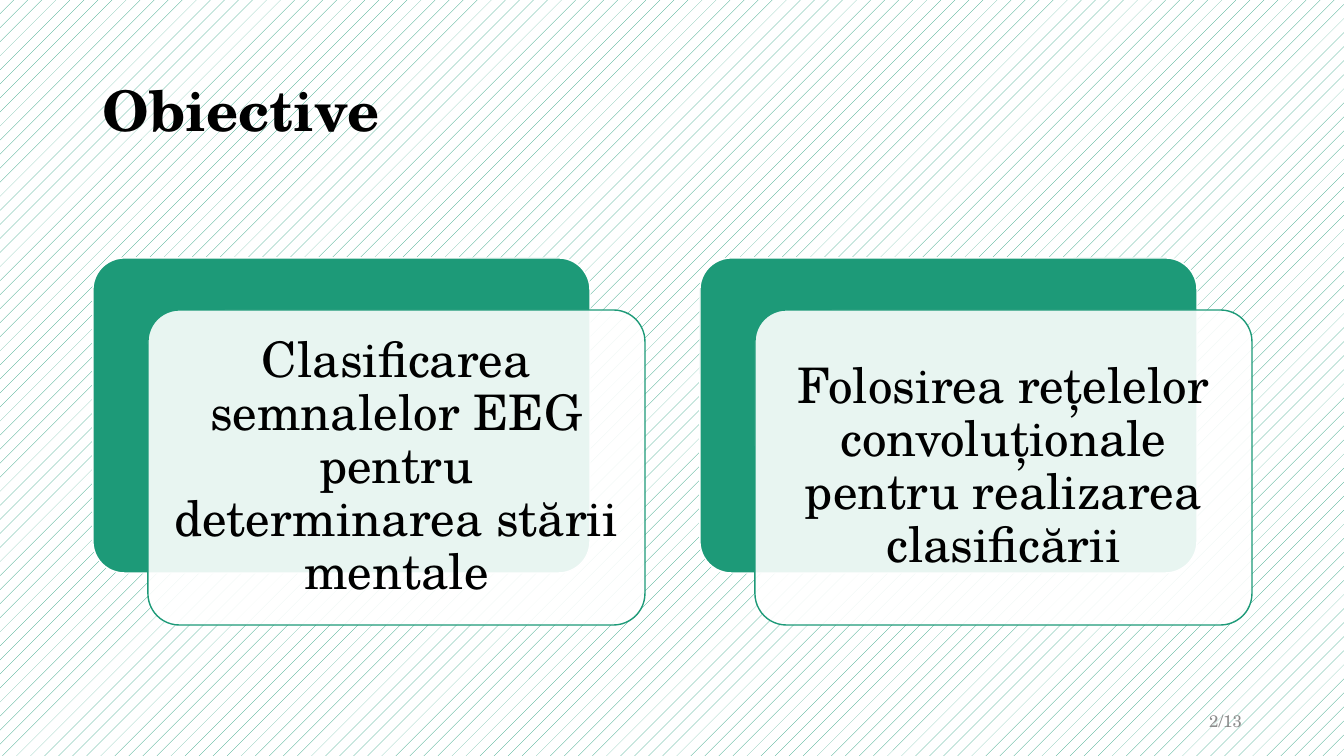
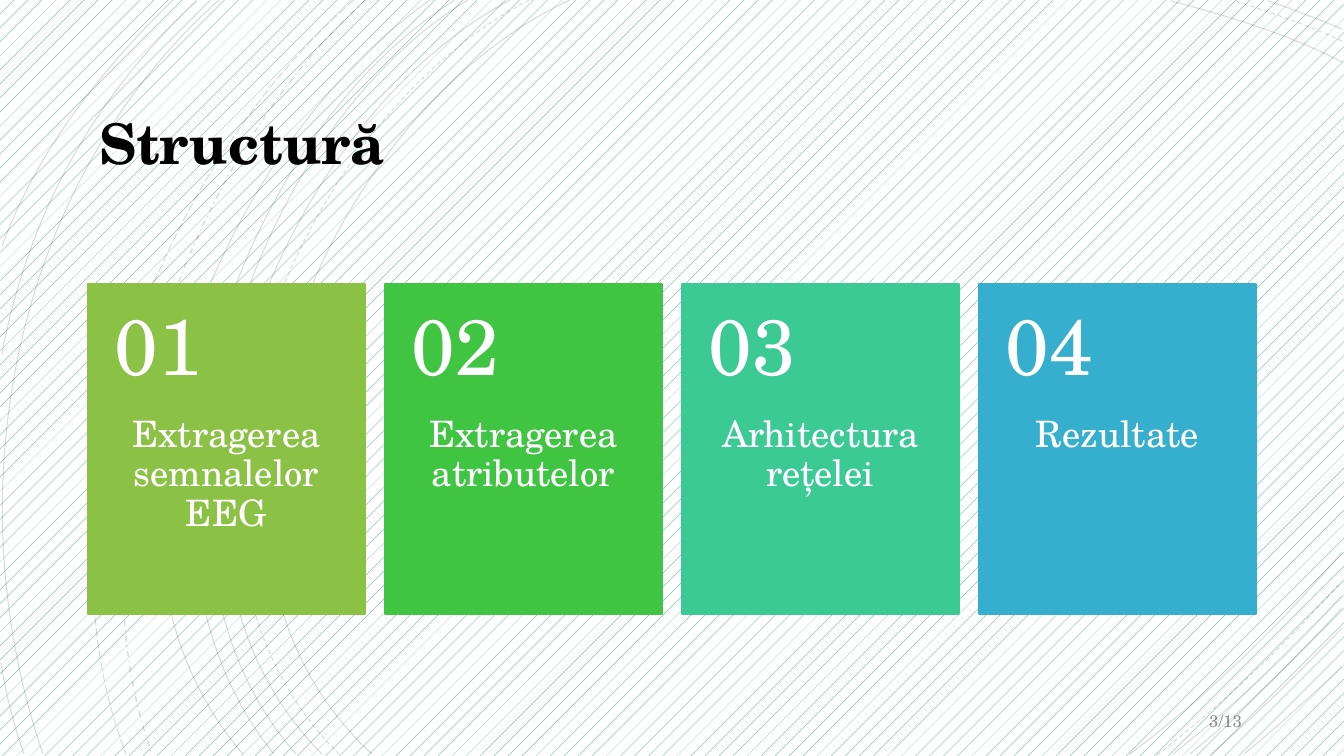
import pptx
import pptx.util
import pptx.dml.color
import pptx.enum.dml
import pptx.enum.shapes
import pptx.enum.text
import pptx.oxml.ns
import pptx.oxml.xmlchemy

SCALE = 914400 / 100.8
FONT = "TeX Gyre Schola"
GREEN, WHITE, BLACK, GREY = "1D9A78", "FFFFFF", "000000", "8C8C8C"
KIND = pptx.enum.shapes.MSO_SHAPE
ALIGN = pptx.enum.text.PP_ALIGN
ANCHOR = pptx.enum.text.MSO_ANCHOR
DASH = pptx.enum.dml.MSO_LINE

GOALS = [
    "Clasificarea semnalelor EEG pentru determinarea stării mentale",
    "Folosirea rețelelor convoluționale pentru realizarea clasificării",
]
STEPS = [
    ("Extragerea semnalelor EEG", "8BC145"),
    ("Extragerea atributelor", "40C543"),
    ("Arhitectura rețelei", "3BCA93"),
    ("Rezultate", "36AFCE"),
]
# Each arc: start, two control points, end; then dash and width in points.
SOLID = (DASH.SOLID, 0.75)
DASHED = (DASH.DASH, 0.75)
ARCS = [
    ((570, 0), (318, 116), (144, 544), (372, 754), SOLID),
    ((1342, 62), (1288, 34), (1228, 16), (1171, 1), SOLID),
    ((1130, 754), (1207, 696), (1279, 627), (1342, 552), SOLID),
    ((529, 0), (287, 126), (124, 541), (339, 754), DASHED),
    ((1342, 41), (1307, 25), (1270, 12), (1235, 1), DASHED),
    ((1157, 755), (1223, 704), (1285, 645), (1341, 582), DASHED),
    ((510, 0), (272, 128), (111, 541), (322, 754), SOLID),
    ((1342, 29), (1317, 19), (1293, 9), (1268, 1), SOLID),
    ((1173, 754), (1233, 707), (1290, 653), (1342, 596), SOLID),
    ((468, 0), (246, 134), (111, 545), (296, 754), SOLID),
    ((1190, 754), (1244, 710), (1294, 660), (1342, 608), SOLID),
    ((455, 0), (233, 139), (98, 537), (274, 754), SOLID),
    ((1211, 754), (1256, 715), (1300, 672), (1342, 628), SOLID),
    ((430, 0), (219, 148), (53, 533), (243, 754), SOLID),
    ((1244, 754), (1277, 727), (1309, 698), (1342, 667), SOLID),
    ((366, 0), (177, 167), (66, 513), (152, 754), (DASH.DASH_DOT, 1)),
    ((354, 0), (158, 170), (29, 503), (126, 754), (DASH.LONG_DASH, 0.75)),
    ((219, 0), (11, 186), (-46, 494), (43, 754), SOLID),
    ((197, 1), (93, 97), (28, 216), (2, 354), SOLID),
    ((1, 663), (6, 695), (14, 725), (24, 754), SOLID),
    ((173, 0), (101, 70), (37, 151), (2, 246), SOLID),
]


def px(count):
    """Turn pixels into EMU."""
    return pptx.util.Emu(round(count * SCALE))


def rgb(code):
    """Turn a hex string into a colour."""
    return pptx.dml.color.RGBColor.from_string(code)


def fade(shape, share):
    """Set the opacity, in percent, of the first colour of a shape."""
    color = next(shape._element.spPr.iter(pptx.oxml.ns.qn("a:srgbClr")))
    alpha = pptx.oxml.xmlchemy.OxmlElement("a:alpha")
    alpha.set("val", str(share * 1000))
    color.append(alpha)


def write(shape, text, size, color, align=ALIGN.LEFT, anchor=ANCHOR.MIDDLE,
          pads=(10, 5, 10, 5), bold=False, space=0.9):
    """Put one styled paragraph into a shape."""
    frame = shape.text_frame
    frame.text = text
    frame.word_wrap = True
    frame.auto_size = pptx.enum.text.MSO_AUTO_SIZE.NONE
    frame.vertical_anchor = anchor
    (frame.margin_left, frame.margin_top,
     frame.margin_right, frame.margin_bottom) = map(px, pads)
    para = frame.paragraphs[0]
    para.alignment, para.line_spacing = align, space
    font = para.runs[0].font
    font.name, font.size, font.bold = FONT, pptx.util.Pt(size), bold
    font.color.rgb = rgb(color)


def label(slide, box, text, size, color, **style):
    """Add a text box."""
    shape = slide.shapes.add_textbox(*map(px, box))
    write(shape, text, size, color, **style)


def block(slide, kind, box, fill, line):
    """Add a filled and outlined shape."""
    shape = slide.shapes.add_shape(kind, *map(px, box))
    shape.shadow.inherit = False
    shape.fill.solid()
    shape.fill.fore_color.rgb = rgb(fill)
    shape.line.color.rgb = rgb(line)
    shape.line.width = pptx.util.Pt(1)
    return shape


def arc(slide, start, bend, turn, end, style):
    """Draw one faint curve."""
    form = slide.shapes.build_freeform(*start, scale=SCALE)
    form.add_line_segments([bend, turn, end], close=False)
    shape = form.convert_to_shape()
    lines = list(shape._element.spPr.iter(pptx.oxml.ns.qn("a:lnTo")))
    curve = pptx.oxml.xmlchemy.OxmlElement("a:cubicBezTo")
    lines[0].addprevious(curve)
    for line in lines:
        curve.append(line[0])
        line.getparent().remove(line)
    shape.shadow.inherit = False
    shape.fill.background()
    shape.line.color.rgb = rgb(BLACK)
    shape.line.dash_style = style[0]
    shape.line.width = pptx.util.Pt(style[1])
    fade(shape, 15)


def base(deck, title, box, page):
    """Start a slide with its title and page number."""
    slide = deck.slides.add_slide(deck.slide_layouts[5])
    head = slide.shapes.title
    head.left, head.top, head.width, head.height = map(px, box)
    write(head, title, 40, BLACK, bold=True)
    label(slide, (950, 701, 302, 40), page, 12, GREY,
          align=ALIGN.RIGHT, space=1)
    return slide


def goal(slide, box, text):
    """Place a green card with a paler text card over its corner."""
    left, top, width, height = box
    back = block(slide, KIND.ROUNDED_RECTANGLE, box, GREEN, WHITE)
    front = block(slide, KIND.ROUNDED_RECTANGLE,
                  (left + 55, top + 52, width, height), WHITE, GREEN)
    for card in (back, front):
        card.adjustments[0] = 0.1
    fade(front, 90)
    write(front, text, 35, BLACK, align=ALIGN.CENTER, pads=(15,) * 4)


def step(slide, box, mark, text, fill):
    """Place a coloured tile with a number above its text."""
    left, top, width, height = box
    high = round(height * 0.4)
    block(slide, KIND.RECTANGLE, box, fill, fill)
    label(slide, (left, top + high, width, height - high), text, 26, WHITE,
          align=ALIGN.CENTER, anchor=ANCHOR.TOP, pads=(27, 0, 27, 36))
    label(slide, (left, top, width, high), mark, 56, WHITE,
          pads=(27, 18, 27, 18))


def aims(deck):
    """Build the slide of goals."""
    slide = base(deck, "Obiective", (93, 40, 1159, 146), "2/13")
    for place, text in enumerate(GOALS):
        goal(slide, (93 + 607 * place, 258, 497, 315), text)


def plan(deck):
    """Build the slide of numbered steps."""
    slide = base(deck, "Structură", (89, 88, 1061, 116), "3/13")
    for row in ARCS:
        arc(slide, *row)
    for place, (text, fill) in enumerate(STEPS):
        step(slide, (88 + 297 * place, 284, 277, 330),
             f"{place + 1:02}", text, fill)


def main():
    """Build and save the deck."""
    deck = pptx.Presentation()
    deck.slide_width, deck.slide_height = px(1344), px(756)
    fill = deck.slide_master.background.fill
    fill.patterned()
    fill.pattern = pptx.enum.dml.MSO_PATTERN.PERCENT_5
    fill.fore_color.rgb, fill.back_color.rgb = rgb(GREEN), rgb(WHITE)
    aims(deck)
    plan(deck)
    deck.save("out.pptx")


main()
